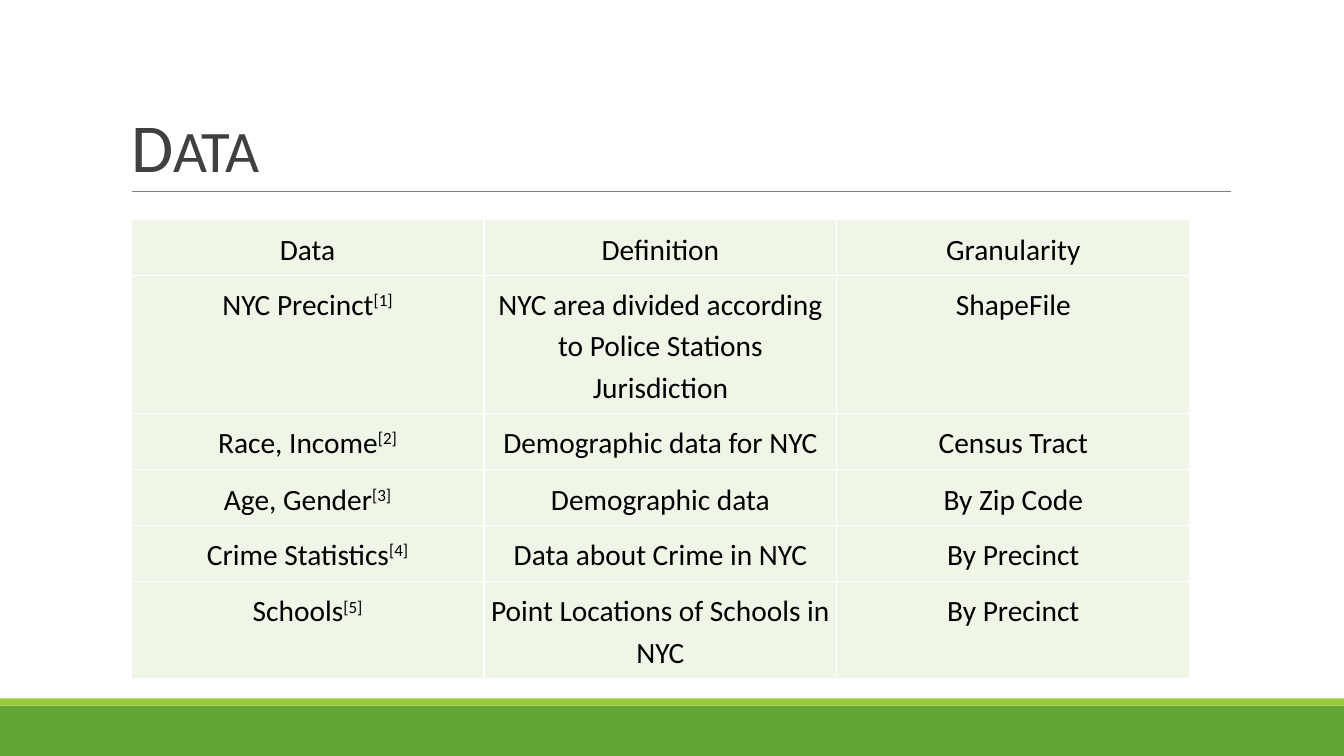
from lxml import etree
from pptx import Presentation
from pptx.dml.color import RGBColor
from pptx.enum.shapes import MSO_CONNECTOR, MSO_SHAPE
from pptx.enum.text import MSO_ANCHOR, MSO_AUTO_SIZE, PP_ALIGN
from pptx.oxml.ns import qn
from pptx.util import Inches, Pt

RECTANGLE = MSO_SHAPE.RECTANGLE
STRAIGHT = MSO_CONNECTOR.STRAIGHT
BOTTOM = MSO_ANCHOR.BOTTOM
LEFT, CENTER = PP_ALIGN.LEFT, PP_ALIGN.CENTER
FONT = "Calibri"


def color(hex_string):
    return RGBColor.from_string(hex_string)


def add_cell_borders(cell, hex_string, width):
    properties = cell._tc.get_or_add_tcPr()
    for position, side in enumerate(("lnL", "lnR", "lnT", "lnB")):
        line = etree.Element(qn(f"a:{side}"), w=str(width))
        fill = etree.SubElement(line, qn("a:solidFill"))
        etree.SubElement(fill, qn("a:srgbClr"), val=hex_string)
        properties.insert(position, line)


presentation = Presentation()
presentation.slide_width = Inches(13.33)
presentation.slide_height = Inches(7.5)
slide = presentation.slides.add_slide(presentation.slide_layouts[5])

# Footer bands
for top, height, band_color in ((7, 0.5, "63A537"), (6.93, 0.07, "99CB38")):
    band = slide.shapes.add_shape(
        RECTANGLE, 0, Inches(top), presentation.slide_width, Inches(height))
    band.shadow.inherit = False
    band.fill.solid()
    band.fill.fore_color.rgb = color(band_color)
    band.line.fill.background()

# Rule under the title
rule = slide.shapes.add_connector(
    STRAIGHT, Inches(1.31), Inches(1.9), Inches(12.21), Inches(1.9))
rule.line.color.rgb = color("808080")
rule.line.width = Pt(0.5)
etree.SubElement(rule._element.spPr, qn("a:effectLst"))

# Title with a larger initial
title = slide.shapes.title
title.left, title.top = Inches(1.2), Inches(0.31)
title.width, title.height = Inches(11), Inches(1.59)
title.text_frame.auto_size = MSO_AUTO_SIZE.NONE
title.text_frame.vertical_anchor = BOTTOM
paragraph = title.text_frame.paragraphs[0]
paragraph.alignment = LEFT
paragraph.line_spacing = 0.85
paragraph.font.name = FONT
paragraph.font.color.rgb = color("404040")
for text, size in (("D", 49), ("ATA", 42)):
    run = paragraph.add_run()
    run.text = text
    run.font.size = Pt(size)
    run._r.get_or_add_rPr().set("spc", "-50")

# Data sources: name, reference mark, definition, granularity, row height
rows = [
    ("Data", "", "Definition", "Granularity", 0.55),
    ("NYC Precinct", "[1]",
     "NYC area divided according to Police Stations Jurisdiction", "ShapeFile", 1.37),
    ("Race, Income", "[2]", "Demographic data for NYC", "Census Tract", 0.56),
    ("Age, Gender", "[3]", "Demographic data", "By Zip Code", 0.55),
    ("Crime Statistics", "[4]", "Data about Crime in NYC", "By Precinct", 0.56),
    ("Schools", "[5]", "Point Locations of Schools in NYC", "By Precinct", 0.96),
]
table = slide.shapes.add_table(
    len(rows), 3, Inches(1.3), Inches(2.18), Inches(10.5), Inches(4.55)).table
for row_index, (name, reference, definition, granularity, height) in enumerate(rows):
    table.rows[row_index].height = Inches(height)
    for column_index, text in enumerate((name, definition, granularity)):
        cell = table.cell(row_index, column_index)
        cell.fill.solid()
        cell.fill.fore_color.rgb = color("EFF6E8")
        cell.margin_left = cell.margin_right = Inches(0.07)
        cell.margin_top = cell.margin_bottom = Inches(0.07)
        add_cell_borders(cell, "FFFFFF", Pt(1))
        paragraph = cell.text_frame.paragraphs[0]
        paragraph.alignment = CENTER
        paragraph.line_spacing = 1.15
        paragraph.font.name = FONT
        paragraph.font.size = Pt(21)
        paragraph.font.bold = False
        paragraph.font.color.rgb = color("000000")
        paragraph.add_run().text = text
        if column_index == 0 and reference:
            mark = paragraph.add_run()
            mark.text = reference
            mark._r.get_or_add_rPr().set("baseline", "30000")

presentation.save("out.pptx")
